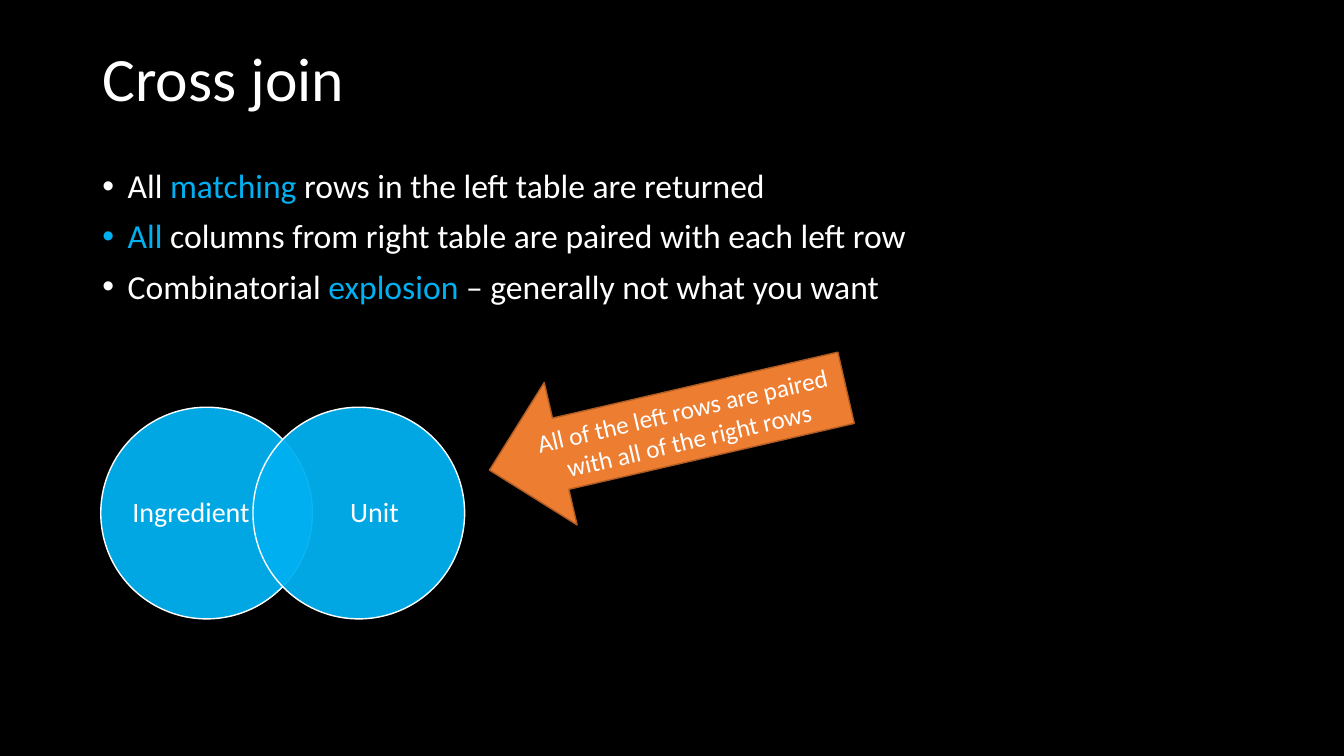
from lxml.etree import SubElement
from pptx import Presentation
from pptx.dml.color import RGBColor
from pptx.enum.shapes import MSO_SHAPE
from pptx.enum.text import MSO_ANCHOR, MSO_AUTO_SIZE, PP_ALIGN
from pptx.oxml.ns import qn
from pptx.util import Pt

BLACK = RGBColor(0, 0, 0)
WHITE = RGBColor(255, 255, 255)
BLUE = RGBColor(0, 176, 240)
ORANGE = RGBColor(237, 125, 49)
DARK_ORANGE = RGBColor(175, 92, 36)


def format_span(span, size, color=WHITE):
    span.font.name = "Calibri"
    span.font.size = Pt(size)
    span.font.color.rgb = color


def add_filled_shape(page, kind, left, top, width, height, fill, line):
    shape = page.shapes.add_shape(kind, Pt(left), Pt(top), Pt(width), Pt(height))
    shape.shadow.inherit = False
    shape.fill.solid()
    shape.fill.fore_color.rgb = fill
    shape.line.color.rgb = line
    shape.line.width = Pt(1)
    return shape


deck = Presentation()
deck.slide_width, deck.slide_height = Pt(960), Pt(540)
page = deck.slides.add_slide(deck.slide_layouts[1])
page.background.fill.solid()
page.background.fill.fore_color.rgb = BLACK

# Title
title = page.shapes.title
title.left, title.top, title.width, title.height = Pt(66), Pt(28.8), Pt(828), Pt(58.3)
title.text_frame.text = "Cross join"
title.text_frame.auto_size = MSO_AUTO_SIZE.NONE
title.text_frame.vertical_anchor = MSO_ANCHOR.MIDDLE
heading = title.text_frame.paragraphs[0]
heading.alignment = PP_ALIGN.LEFT
heading.line_spacing = 0.9
format_span(heading.runs[0], 44)

# Bullets, with the key words in blue
bullets = [
    [("All ", WHITE), ("matching", BLUE), (" rows in the left table are returned", WHITE)],
    [("All", BLUE), (" columns from right table are paired with each left row", WHITE)],
    [("Combinatorial ", WHITE), ("explosion", BLUE),
     (" – generally not what you want", WHITE)],
]
body = page.placeholders[1]
body.left, body.top, body.width, body.height = Pt(66), Pt(117.4), Pt(600), Pt(133.2)
body.text_frame.auto_size = MSO_AUTO_SIZE.NONE
for index, parts in enumerate(bullets):
    para = body.text_frame.paragraphs[0] if index == 0 else body.text_frame.add_paragraph()
    properties = para._p.get_or_add_pPr()
    properties.set("marL", str(Pt(18)))
    properties.set("indent", str(-Pt(18)))
    SubElement(properties, qn("a:buFont")).set("typeface", "Arial")
    SubElement(properties, qn("a:buChar")).set("char", "•")
    para.line_spacing = 0.9
    para.space_before = Pt(10 if index else 0)
    for words, color in parts:
        span = para.add_run()
        span.text = words
        format_span(span, 24, color)

# Two overlapping circles and their labels
for name, circle_left, label_left in [("Ingredient", 72, 92.9), ("Unit", 180.7, 223.9)]:
    circle = add_filled_shape(page, MSO_SHAPE.OVAL, circle_left, 290.9, 151.2, 151.2, BLUE, WHITE)
    fill_color = circle.fill._xPr.find(qn("a:solidFill"))[0]
    SubElement(fill_color, qn("a:alpha")).set("val", "95000")

    label = page.shapes.add_textbox(Pt(label_left), Pt(308.9), Pt(87.1), Pt(115.2))
    frame = label.text_frame
    frame.margin_left = frame.margin_right = frame.margin_top = frame.margin_bottom = 0
    frame.word_wrap = True
    frame.vertical_anchor = MSO_ANCHOR.MIDDLE
    frame.text = name
    para = frame.paragraphs[0]
    para.alignment = PP_ALIGN.CENTER
    para.line_spacing = 0.9
    format_span(para.runs[0], 20)

# Arrow with the explanation
arrow = add_filled_shape(page, MSO_SHAPE.LEFT_ARROW, 346.3, 254.2, 261.4, 104.4,
                         ORANGE, DARK_ORANGE)
arrow.rotation = 347
arrow.text_frame.word_wrap = True
arrow.text_frame.vertical_anchor = MSO_ANCHOR.MIDDLE
arrow.text_frame.text = "All of the left rows are paired with all of the right rows"
arrow.text_frame.paragraphs[0].alignment = PP_ALIGN.CENTER
format_span(arrow.text_frame.paragraphs[0].runs[0], 18)

deck.save("out.pptx")
